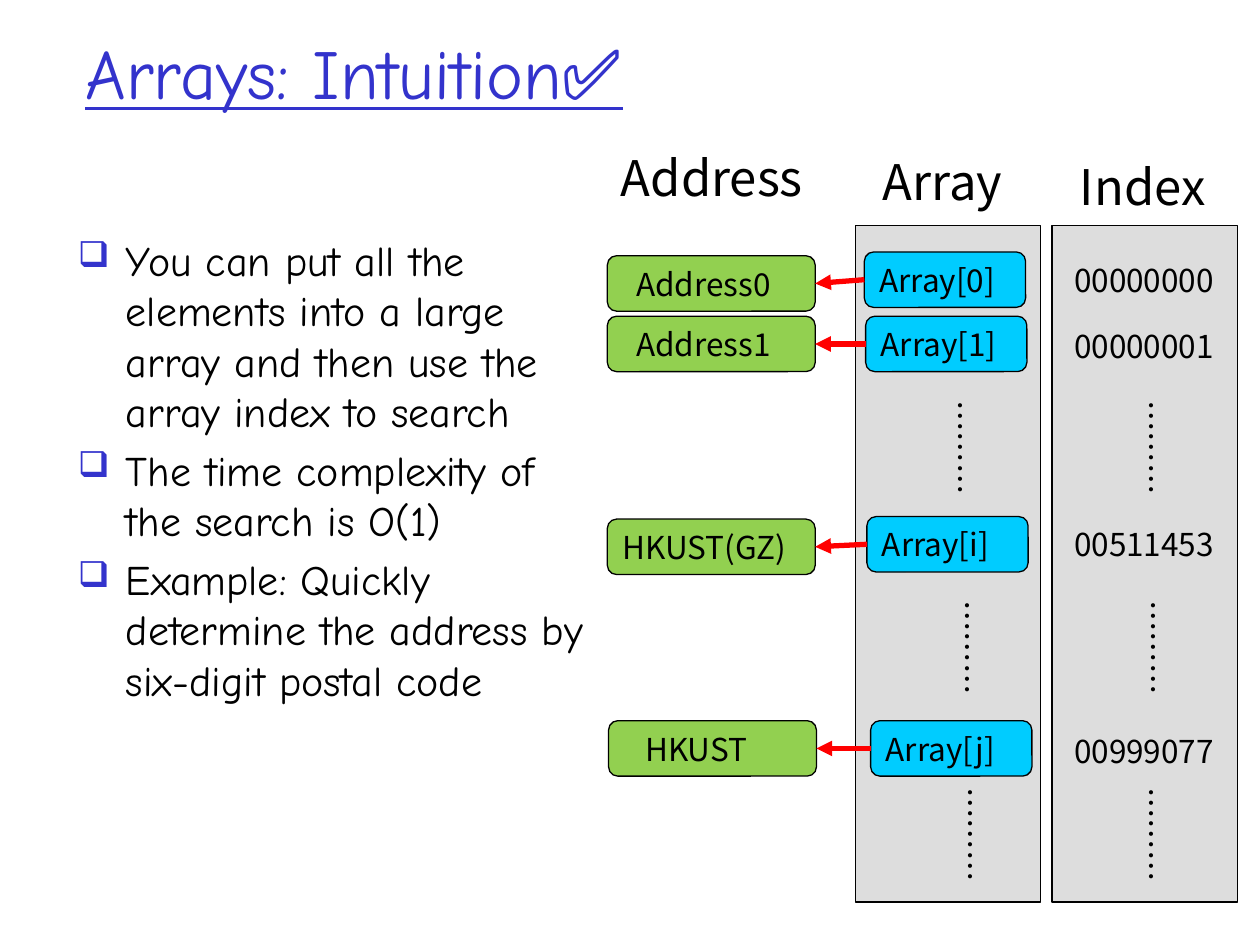
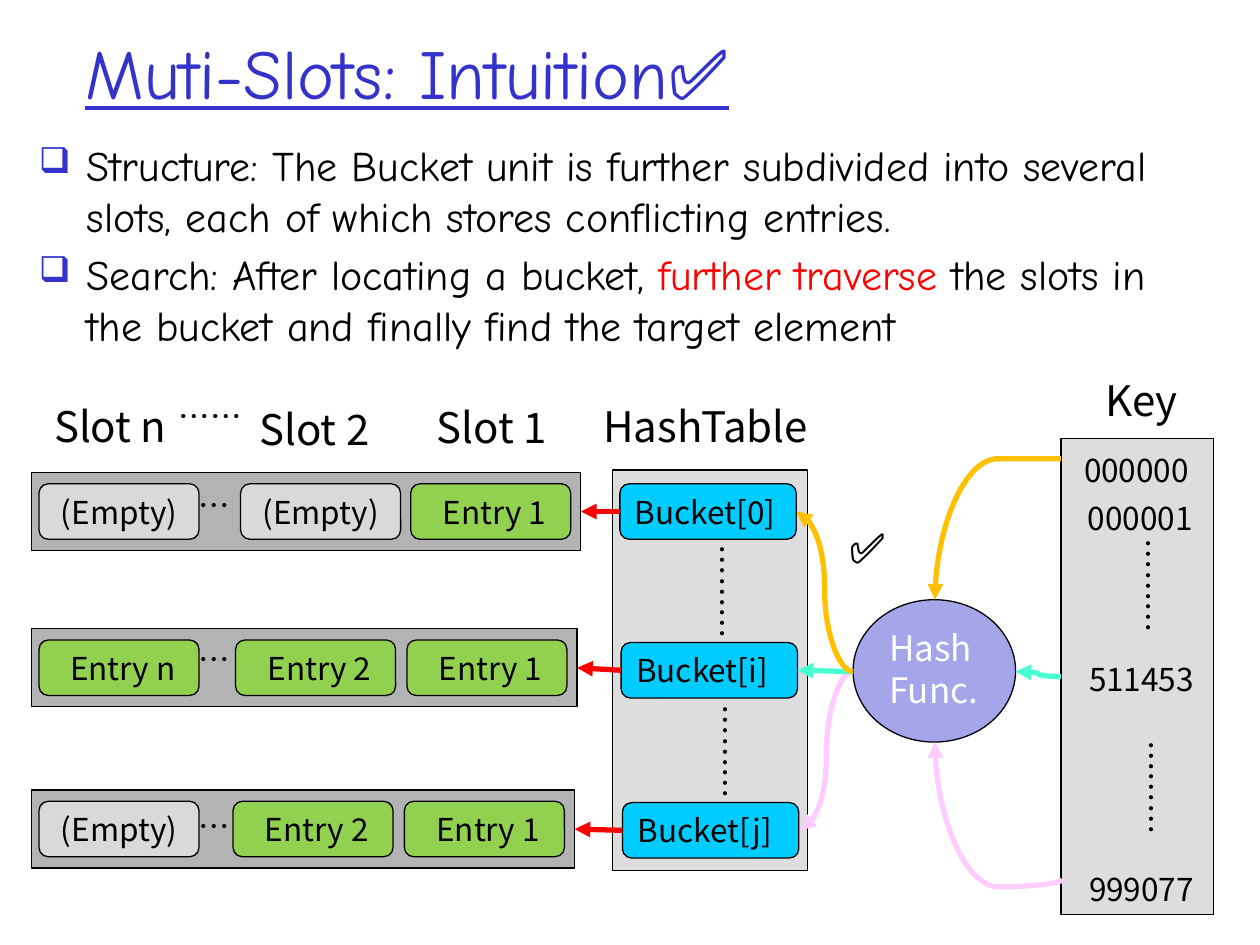
from lxml.etree import SubElement
from pptx import Presentation
from pptx.dml.color import RGBColor
from pptx.enum.shapes import MSO_CONNECTOR as Link, MSO_SHAPE as Preset
from pptx.enum.text import MSO_ANCHOR as Anchor, PP_ALIGN as Align
from pptx.oxml.ns import qn
from pptx.util import Inches, Pt

BLACK = RGBColor(0x00, 0x00, 0x00)
WHITE = RGBColor(0xFF, 0xFF, 0xFF)
BLUE = RGBColor(0x33, 0x33, 0xCC)
RED = RGBColor(0xFF, 0x00, 0x00)
CYAN = RGBColor(0x00, 0xCC, 0xFF)
GREEN = RGBColor(0x92, 0xD0, 0x50)
PANEL = RGBColor(0xDD, 0xDD, 0xDD)
TRAY = RGBColor(0xB3, 0xB3, 0xB3)
EMPTY = RGBColor(0xD9, 0xD9, 0xD9)
LILAC = RGBColor(0xA5, 0xA5, 0xE9)
AMBER = RGBColor(0xFF, 0xC0, 0x00)
PINK = RGBColor(0xFF, 0xCC, 0xFF)
MINT = RGBColor(0x47, 0xFF, 0xD1)

HAND, SANS, SERIF = "Comic Neue", "Noto Sans CJK JP", "Times New Roman"
COLUMNS, ROWS = 100, 75
LEFT, RIGHT = 1, 3
LABEL_WIDTH, BOX_HEIGHT = 22.6, 4.4


class Deck:
    def __init__(self):
        self.prs = Presentation()
        self.prs.slide_width, self.prs.slide_height = Inches(10), Inches(7.5)
        self.slide = None

    def new_slide(self):
        self.slide = self.prs.slides.add_slide(self.prs.slide_layouts[6])

    def x(self, column):
        return round(self.prs.slide_width * column / COLUMNS)

    def y(self, row):
        return round(self.prs.slide_height * row / ROWS)

    def area(self, left, top, width, height):
        return self.x(left), self.y(top), self.x(width), self.y(height)

    def add_text(self, paragraph, text, size, color=BLACK, font=SANS):
        run = paragraph.add_run()
        run.text = text
        run.font.size = Pt(size)
        run.font.name = font
        run.font.color.rgb = color
        SubElement(run.font._element, qn("a:ea"), typeface=font)
        return run

    def frame(self, *area):
        box = self.slide.shapes.add_textbox(*self.area(*area))
        box.text_frame.word_wrap = True
        return box

    def title(self, text, top, height):
        frame = self.frame(5.8, top, 85, height).text_frame
        frame.vertical_anchor = Anchor.MIDDLE
        self.add_text(frame.paragraphs[0], text, 40, BLUE, HAND).font.underline = True

    def bullets(self, area, items):
        frame = self.frame(*area).text_frame
        for index, item in enumerate(items):
            paragraph = frame.add_paragraph() if index else frame.paragraphs[0]
            props = paragraph._p.get_or_add_pPr()
            props.set("marL", str(Inches(0.38)))
            props.set("indent", str(-Inches(0.38)))
            tint = SubElement(props, qn("a:buClr"))
            SubElement(tint, qn("a:srgbClr"), val=str(BLUE))
            SubElement(props, qn("a:buSzPct"), val="85000")
            SubElement(props, qn("a:buChar"), char="❑")
            if index:
                paragraph.space_before = Pt(4.8)
            for text, color in item:
                self.add_text(paragraph, text, 24, color, HAND)

    def label(self, text, left, top, size=18, width=LABEL_WIDTH, font=SANS, align=Align.CENTER):
        box = self.frame(left, top, width, size / 6 + 1)
        paragraph = box.text_frame.paragraphs[0]
        paragraph.alignment = align
        self.add_text(paragraph, text, size, font=font)
        return box

    def dots(self, left, top):
        self.label("………", left, top).rotation = 90

    def block(self, preset, area, fill):
        shape = self.slide.shapes.add_shape(preset, *self.area(*area))
        shape.shadow.inherit = False
        shape.fill.solid()
        shape.fill.fore_color.rgb = fill
        shape.line.color.rgb = BLACK
        shape.line.width = Pt(0.75)
        return shape

    def panel(self, area, fill=PANEL):
        return self.block(Preset.RECTANGLE, area, fill)

    def filled(self, text, area, fill, preset=Preset.ROUNDED_RECTANGLE, size=18,
               color=BLACK, align=Align.LEFT, indent=0):
        shape = self.block(preset, area, fill)
        frame = shape.text_frame
        frame.word_wrap = True
        frame.vertical_anchor = Anchor.TOP
        paragraph = frame.paragraphs[0]
        paragraph.alignment = align
        paragraph._p.get_or_add_pPr().set("marL", str(self.x(indent)))
        self.add_text(paragraph, text, size, color)
        return shape

    def arrow(self, start, end, color, kind=Link.STRAIGHT):
        line = self.slide.shapes.add_connector(
            kind, self.x(start[0]), self.y(start[1]), self.x(end[0]), self.y(end[1]))
        line.line.color.rgb = color
        line.line.width = Pt(3)
        props = line.element.spPr
        SubElement(props.find(qn("a:ln")), qn("a:tailEnd"), type="triangle")
        SubElement(props, qn("a:effectLst"))
        return line

    def join(self, source, target):
        line = self.arrow((0, 0), (0, 0), RED)
        line.begin_connect(source, LEFT)
        line.end_connect(target, RIGHT)

    def turned_curve(self, start, end, color, quarter, bend):
        middle_x, middle_y = (start[0] + end[0]) / 2, (start[1] + end[1]) / 2
        sign = 1 if quarter == 1 else -1
        shift_x = sign * (start[1] - middle_y)
        shift_y = -sign * (start[0] - middle_x)
        line = self.arrow((middle_x + shift_x, middle_y + shift_y),
                          (middle_x - shift_x, middle_y - shift_y), color, Link.CURVE)
        props = line.element.spPr
        props.find(qn("a:xfrm")).set("rot", str(quarter * 5400000))
        guides = props.find(qn("a:prstGeom")).find(qn("a:avLst"))
        SubElement(guides, qn("a:gd"), name="adj1", fmla=f"val {bend}")


def arrays_slide(deck):
    deck.new_slide()
    deck.title("Arrays: Intuition✅", 3.4, 4.6)
    deck.bullets((5.2, 18.1, 42.8, 50.1), [
        [("You can put all the elements into a large array and then use the array index to search", BLACK)],
        [("The time complexity of the search is O(1)", BLACK)],
        [("Example: Quickly determine the address by six-digit postal code", BLACK)],
    ])
    for left in (67.9, 83.5):
        deck.panel((left, 17.9, 14.7, 53.7))
    for heading, left, top in (("Address", 45.2, 11.2), ("Array", 63.5, 11.5), ("Index", 79.4, 11.9)):
        deck.label(heading, left, top, 28)

    entries = [
        ("Array[0]", 68.6, 20, "Address0", 48.2, 20.3, 1.1, "00000000", 20.2),
        ("Array[1]", 68.7, 25.1, "Address1", 48.2, 25.1, 1.1, "00000001", 25.5),
        ("Array[i]", 68.8, 41, "HKUST(GZ)", 48.2, 41.2, 0, "00511453", 41.2),
        ("Array[j]", 69.1, 57.2, "HKUST", 48.3, 57.2, 1.7, "00999077", 57.6),
    ]
    for cell, cell_left, cell_top, place, left, top, indent, code, code_top in entries:
        array_cell = deck.filled(cell, (cell_left, cell_top, 12.8, BOX_HEIGHT), CYAN)
        address = deck.filled(place, (left, top, 16.5, BOX_HEIGHT), GREEN, indent=indent)
        deck.join(array_cell, address)
        deck.label(code, 79.5, code_top)
    for array_left, index_left, top in ((65, 80.1, 33.5), (65.5, 80.3, 49.4), (65.8, 80.1, 64.25)):
        deck.dots(array_left, top)
        deck.dots(index_left, top)


def slots_slide(deck):
    deck.new_slide()
    deck.title("Muti-Slots: Intuition✅", 2.5, 6.3)
    deck.bullets((2.1, 10.6, 94.2, 18.4), [
        [("Structure: The Bucket unit is further subdivided into several slots, "
          "each of which stores conflicting entries.", BLACK)],
        [("Search: After locating a bucket, ", BLACK), ("further traverse ", RED),
         ("the slots in the bucket and finally find the target element", BLACK)],
    ])
    deck.panel((48.6, 37.3, 15.5, 31.8))
    deck.panel((84.2, 34.8, 12.1, 37.8))
    deck.label("HashTable", 44.7, 31.3, 24)
    deck.label("Key", 79.3, 29.2, 24)
    for heading, left, top in (("Slot n", 2.2, 31.3), ("Slot 2", 18.4, 31.5), ("Slot 1", 32.5, 31.4)):
        deck.label(heading, left, top, 24, 13.1)
    deck.label("……", 5.4, 31)

    buckets = [
        ("Bucket[0]", 49.2, 38.4, 37.5, 43.6, 38.1,
         (("(Empty)", 3.1), ("(Empty)", 19.1), ("Entry 1", 32.6))),
        ("Bucket[i]", 49.3, 51, 49.9, 43.3, 50.3,
         (("Entry n", 3.1), ("Entry 2", 18.7), ("Entry 1", 32.3))),
        ("Bucket[j]", 49.4, 63.7, 62.7, 43.1, 63.6,
         (("(Empty)", 3.1), ("Entry 2", 18.5), ("Entry 1", 32.1))),
    ]
    bucket_boxes = []
    for name, left, top, tray_top, tray_width, gap_top, slots in buckets:
        tray = deck.panel((2.5, tray_top, tray_width, 6.2), TRAY)
        bucket = deck.filled(name, (left, top, 14, BOX_HEIGHT), CYAN)
        bucket_boxes.append(bucket)
        deck.join(bucket, tray)
        for slot, slot_left in slots:
            empty = slot == "(Empty)"
            deck.filled(slot, (slot_left, tray_top + 0.9, 12.7, BOX_HEIGHT),
                        EMPTY if empty else GREEN, align=Align.CENTER, indent=0 if empty else 0.6)
        deck.label("…", 5.7, gap_top)

    for key, left, top in (("000000", 78.9, 35.3), ("000001", 79.2, 39.1),
                           ("511453", 79.3, 51.9), ("999077", 79.3, 68.6)):
        deck.label(key, left, top)
    for left, top in ((46.1, 45), (46.3, 57.7), (79.9, 44.5), (80.1, 60.5)):
        deck.dots(left, top)

    deck.filled("Hash Func.", (67.7, 47.6, 12.9, 11.3), LILAC, Preset.OVAL, 20, WHITE)
    hash_left = (67.7, 53.3)
    deck.turned_curve((84.2, 36.4), (74.2, 47.6), AMBER, 1, 0)
    deck.turned_curve((84.3, 69.8), (74.2, 58.9), PINK, 3, -5400)
    deck.arrow((84.2, 53.7), (80.6, 53.3), MINT, Link.CURVE)
    deck.arrow(hash_left, (63.5, 65.9), PINK, Link.CURVE)
    deck.arrow(hash_left, (63.3, 53.3), MINT).end_connect(bucket_boxes[1], RIGHT)
    deck.arrow(hash_left, (63.2, 40.6), AMBER, Link.CURVE)
    deck.label("✅", 66.4, 40.9, 24, 6.4, SERIF, Align.LEFT)


def main():
    deck = Deck()
    arrays_slide(deck)
    slots_slide(deck)
    deck.prs.save("out.pptx")


if __name__ == "__main__":
    main()
